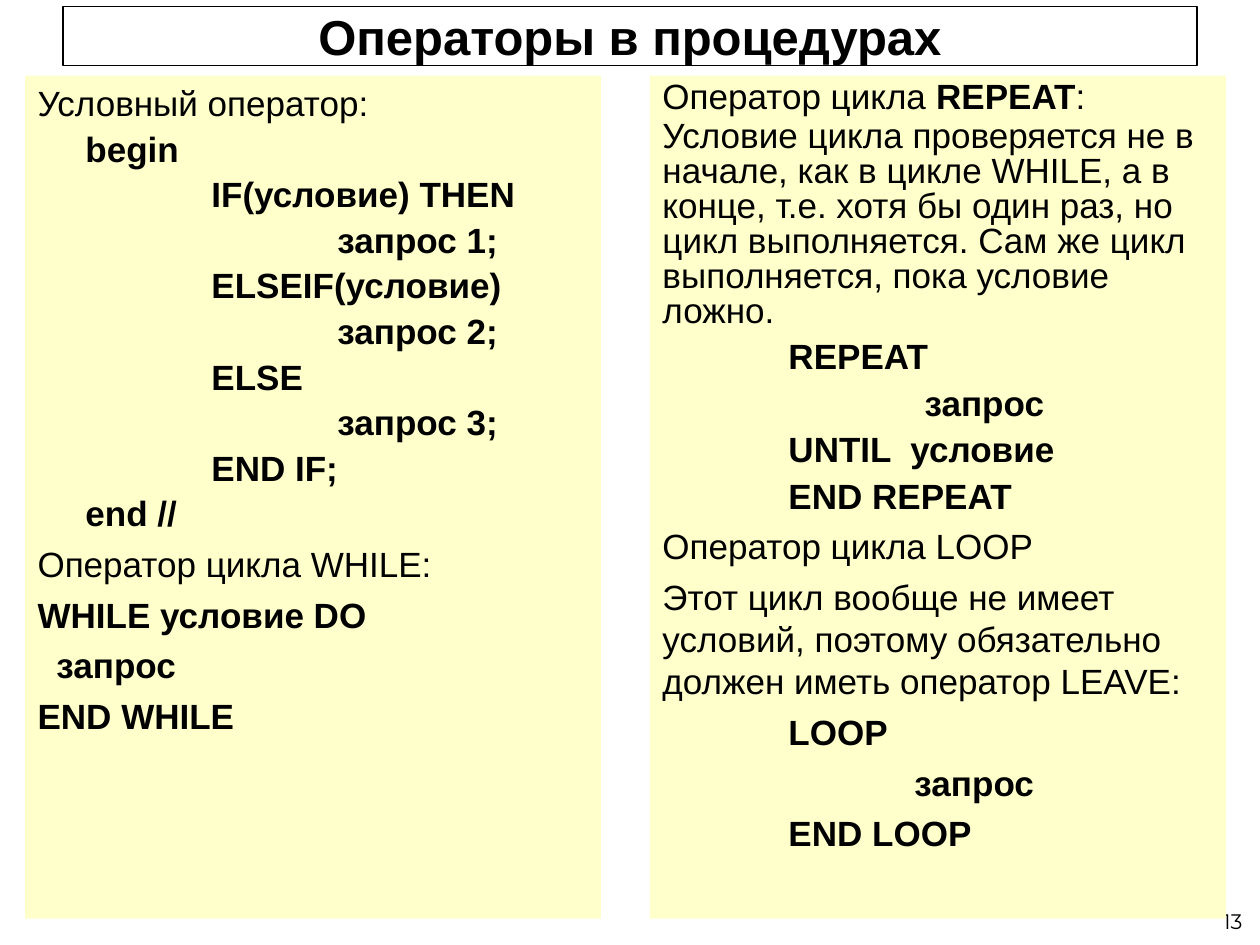
from pptx import Presentation
from pptx.util import Inches, Pt
from pptx.dml.color import RGBColor
from pptx.enum.shapes import MSO_SHAPE as Shape
from pptx.enum.text import MSO_ANCHOR as Anchor, MSO_AUTO_SIZE as Auto, PP_ALIGN as Align


def color(code):
    return RGBColor.from_string(code)


def style(run, size, name="Arial", bold=False):
    run.font.size = Pt(size)
    run.font.name = name
    run.font.bold = bold
    run.font.color.rgb = color("000000")


deck = Presentation()
deck.slide_width, deck.slide_height = Inches(10), Inches(7.5)
slide = deck.slides.add_slide(deck.slide_layouts[5])

num = slide.shapes.add_textbox(Inches(9.49), Inches(7.18), Inches(0.47), Inches(0.28))
num.text_frame.word_wrap = True
num.text_frame.vertical_anchor = Anchor.BOTTOM
num.text_frame.text = "13"
line = num.text_frame.paragraphs[0]
line.alignment = Align.RIGHT
style(line.runs[0], 12, "Montserrat")

title = slide.shapes.title
title.left, title.top = Inches(0.5), Inches(0.05)
title.width, title.height = Inches(9), Inches(0.47)
title.line.color.rgb = color("000000")
title.line.width = Pt(0.75)
frame = title.text_frame
frame.text = "Операторы в процедурах"
frame.auto_size = Auto.NONE
frame.vertical_anchor = Anchor.MIDDLE
frame.paragraphs[0].alignment = Align.CENTER
style(frame.paragraphs[0].runs[0], 28, bold=True)

# Each row: indent, space before, line pitch, text with *bold* parts
left = [
    (0, 5, 24, "Условный оператор:"),
    (0.38, 2, 24, "*begin*"),
    (1.38, 2, 24, "*IF(условие) THEN*"),
    (2.38, 2, 24, "*запрос 1;*"),
    (1.38, 2, 24, "*ELSEIF(условие)*"),
    (2.38, 2, 24, "*запрос 2;*"),
    (1.38, 2, 24, "*ELSE*"),
    (2.38, 2, 24, "*запрос 3;*"),
    (1.38, 2, 24, "*END IF;*"),
    (0.38, 2, 24, "*end //*"),
    (0, 5, 24, "Оператор цикла WHILE:"),
    (0, 5, 24, "*WHILE условие DO*"),
    (0.15, 5, 24, "*запрос*"),
    (0, 5, 24, "*END WHILE*"),
]
right = [
    (0, 2, 20, "Оператор цикла *REPEAT*:"),
    (0, 2, 20, "Условие цикла проверяется не в начале, как в цикле WHILE, а в конце, "
     "т.е. хотя бы один раз, но цикл выполняется. Сам же цикл выполняется, "
     "пока условие ложно."),
    (1, 2.5, 24, "*REPEAT*"),
    (2.08, 2.5, 24, "*запрос*"),
    (1, 2.5, 24, "*UNTIL  условие*"),
    (1, 2.5, 24, "*END REPEAT*"),
    (0, 5, 24, "Оператор цикла LOOP"),
    (0, 5, 24, "Этот цикл вообще не имеет условий, поэтому обязательно "
     "должен иметь оператор LEAVE:"),
    (1, 5, 24, "*LOOP*"),
    (2, 5, 24, "*запрос*"),
    (1, 5, 24, "*END LOOP*"),
]

for x, rows in ((0.2, left), (5.16, right)):
    box = slide.shapes.add_shape(
        Shape.RECTANGLE, Inches(x), Inches(0.6), Inches(4.57), Inches(6.69))
    box.shadow.inherit = False
    box.fill.solid()
    box.fill.fore_color.rgb = color("FFFFCC")
    box.line.fill.background()
    frame = box.text_frame
    frame.word_wrap = True
    frame.vertical_anchor = Anchor.TOP
    for i, (dent, gap, pitch, text) in enumerate(rows):
        line = frame.add_paragraph() if i else frame.paragraphs[0]
        line.alignment = Align.LEFT
        line.space_before = Pt(gap)
        line.line_spacing = Pt(pitch)
        line._p.get_or_add_pPr().set("marL", str(Inches(dent)))
        for j, part in enumerate(text.split("*")):
            if part:
                run = line.add_run()
                run.text = part
                style(run, 20, bold=j % 2 == 1)

deck.save("out.pptx")
